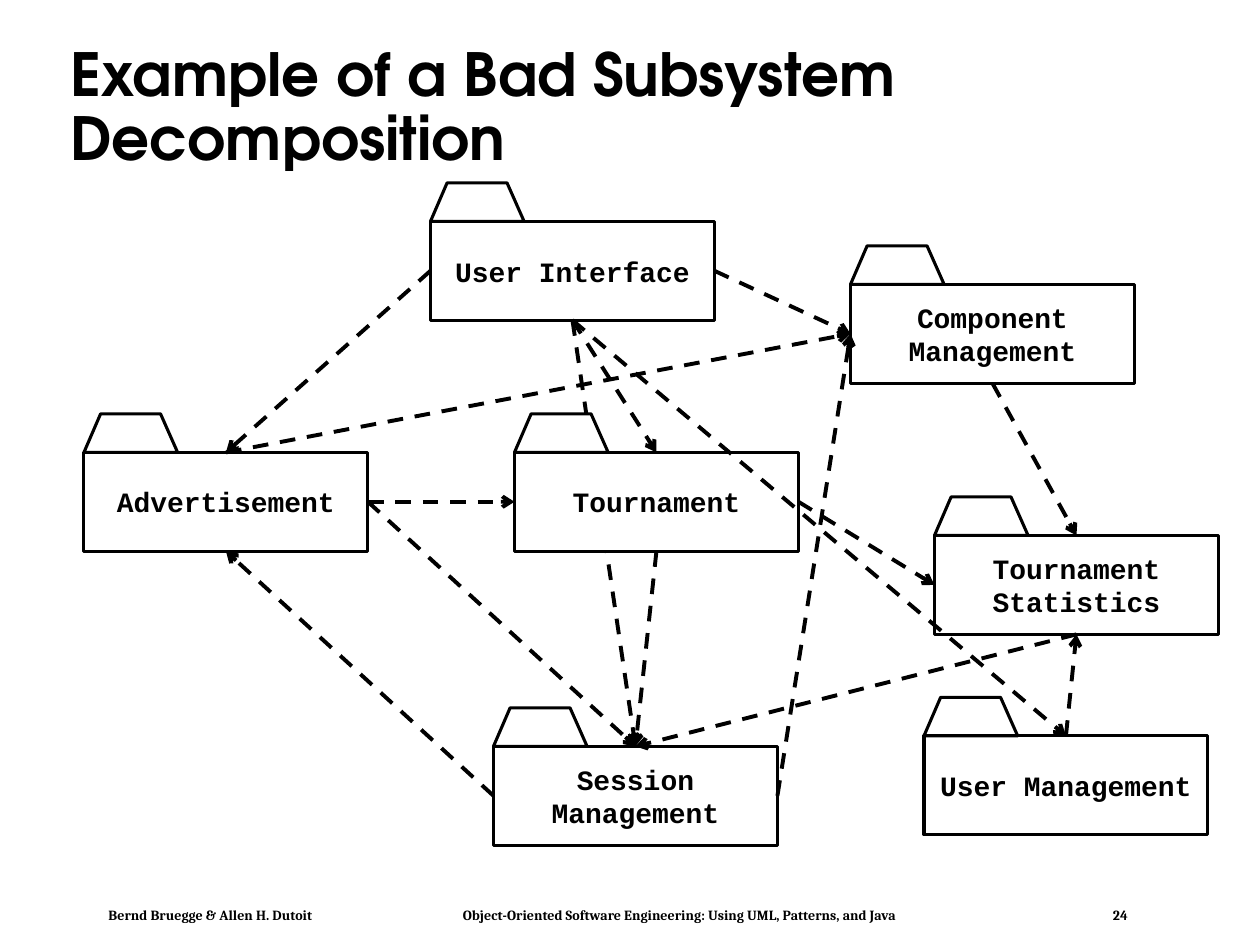
"""Build a slide of tangled package dependencies in a subsystem decomposition."""
from lxml import etree
from pptx import Presentation
from pptx.dml.color import RGBColor
from pptx.enum.dml import MSO_LINE
from pptx.enum.shapes import MSO_CONNECTOR, MSO_SHAPE
from pptx.enum.text import MSO_ANCHOR, MSO_AUTO_SIZE, PP_ALIGN
from pptx.oxml.ns import qn
from pptx.util import Pt

DASH = MSO_LINE.DASH
STRAIGHT = MSO_CONNECTOR.STRAIGHT
RECTANGLE = MSO_SHAPE.RECTANGLE
MIDDLE = MSO_ANCHOR.MIDDLE
NO_AUTOSIZE = MSO_AUTO_SIZE.NONE
LEFT, CENTER = PP_ALIGN.LEFT, PP_ALIGN.CENTER
TOP_SIDE, LEFT_SIDE, BOTTOM_SIDE, RIGHT_SIDE = range(4)

COLORS = {"ink": "000000", "paper": "FFFFFF"}
INK = RGBColor.from_string(COLORS["ink"])
PAPER = RGBColor.from_string(COLORS["paper"])
BOX_WIDTH, BOX_HEIGHT = 162.25, 56.5
TAB_OUTLINE = [(9.5, -22), (43.75, -22), (53.5, 0)]

PACKAGES = {
    "Advertisement": (48, 258.5),
    "User Interface": (246, 126.5),
    "Session Management": (282, 426.5),
    "User Management": (528, 420.5),
    "Tournament Statistics": (534, 306),
    "Component Management": (486, 162.5),
    "Tournament": (294, 258.5),
}
DEPENDENCIES = [
    ("User Interface", BOTTOM_SIDE, "Session Management", TOP_SIDE),
    ("User Interface", RIGHT_SIDE, "Component Management", LEFT_SIDE),
    ("Tournament", RIGHT_SIDE, "Tournament Statistics", LEFT_SIDE),
    ("Tournament", BOTTOM_SIDE, "Session Management", TOP_SIDE),
    ("User Interface", BOTTOM_SIDE, "Tournament", TOP_SIDE),
    ("Advertisement", RIGHT_SIDE, "Tournament", LEFT_SIDE),
    ("Advertisement", RIGHT_SIDE, "Session Management", TOP_SIDE),
    ("Component Management", BOTTOM_SIDE, "Tournament Statistics", TOP_SIDE),
    ("User Management", TOP_SIDE, "Tournament Statistics", BOTTOM_SIDE),
    ("Tournament Statistics", BOTTOM_SIDE, "Session Management", TOP_SIDE),
    ("Session Management", RIGHT_SIDE, "Component Management", LEFT_SIDE),
    ("Session Management", LEFT_SIDE, "Advertisement", BOTTOM_SIDE),
    ("User Interface", LEFT_SIDE, "Advertisement", TOP_SIDE),
    ("Advertisement", TOP_SIDE, "Component Management", LEFT_SIDE),
    ("User Interface", BOTTOM_SIDE, "User Management", TOP_SIDE),
]


def write_text(shape, text, font, size, align):
    para = shape.text_frame.paragraphs[0]
    para.alignment = align
    span = para.add_run()
    span.text = text
    values = {"name": font, "size": Pt(size), "bold": True}
    for name, value in values.items():
        setattr(span.font, name, value)
    span.font.color.rgb = INK
    return para


def style_outline(shape, filled):
    shape.shadow.inherit = False
    if filled:
        shape.fill.solid()
        shape.fill.fore_color.rgb = PAPER
    else:
        shape.fill.background()
    shape.line.color.rgb = INK
    shape.line.width = Pt(1.75)


deck = Presentation()
deck.slide_width, deck.slide_height = Pt(720), Pt(540)
page = deck.slides.add_slide(deck.slide_layouts[5])

title = page.shapes.title
title_place = {"left": 33, "top": 34.5, "width": 663, "height": 55.5}
for name, value in title_place.items():
    setattr(title, name, Pt(value))
title_frame = {"vertical_anchor": MIDDLE, "word_wrap": True, "auto_size": NO_AUTOSIZE}
for name, value in title_frame.items():
    setattr(title.text_frame, name, value)
heading = write_text(title, "Example of a Bad Subsystem Decomposition", "TeX Gyre Adventor", 34, LEFT)
heading.line_spacing = 0.9

footer = page.shapes.add_textbox(Pt(56), Pt(515), Pt(596), Pt(15))
footer_frame = {"margin_left": Pt(6), "margin_right": Pt(6), "margin_top": Pt(3),
                "margin_bottom": Pt(3), "word_wrap": True}
for name, value in footer_frame.items():
    setattr(footer.text_frame, name, value)
credit = write_text(
    footer,
    "Bernd Bruegge & Allen H. Dutoit\tObject-Oriented Software Engineering: "
    "Using UML, Patterns, and Java\t24",
    "Cambria", 8, LEFT)
tab_stops = etree.SubElement(credit._p.get_or_add_pPr(), qn("a:tabLst"))
for position in (202.5, 574):
    etree.SubElement(tab_stops, qn("a:tab"), pos=str(Pt(position)), algn="l")

boxes = {}
for label, (left, top) in PACKAGES.items():
    filled = label == "Tournament"
    box = page.shapes.add_shape(RECTANGLE, Pt(left), Pt(top), Pt(BOX_WIDTH), Pt(BOX_HEIGHT))
    style_outline(box, filled)
    box.text_frame.vertical_anchor = MIDDLE
    box.text_frame.word_wrap = True
    write_text(box, label, "Courier New", 16, CENTER)
    builder = page.shapes.build_freeform(Pt(left), Pt(top))
    builder.add_line_segments([(Pt(left + x), Pt(top + y)) for x, y in TAB_OUTLINE], close=True)
    style_outline(builder.convert_to_shape(), filled)
    boxes[label] = box

for source, source_side, target, target_side in DEPENDENCIES:
    arrow = page.shapes.add_connector(STRAIGHT, 0, 0, 0, 0)
    arrow.begin_connect(boxes[source], source_side)
    arrow.end_connect(boxes[target], target_side)
    arrow.line.color.rgb = INK
    arrow.line.width = Pt(2.25)
    arrow.line.dash_style = DASH
    properties = arrow._element.spPr
    etree.SubElement(properties.find(qn("a:ln")), qn("a:tailEnd"), type="arrow")
    etree.SubElement(properties, qn("a:effectLst"))
    if (source, target) == ("User Interface", "Session Management"):
        boxes["Advertisement"]._element.addprevious(arrow._element)

deck.save("out.pptx")
